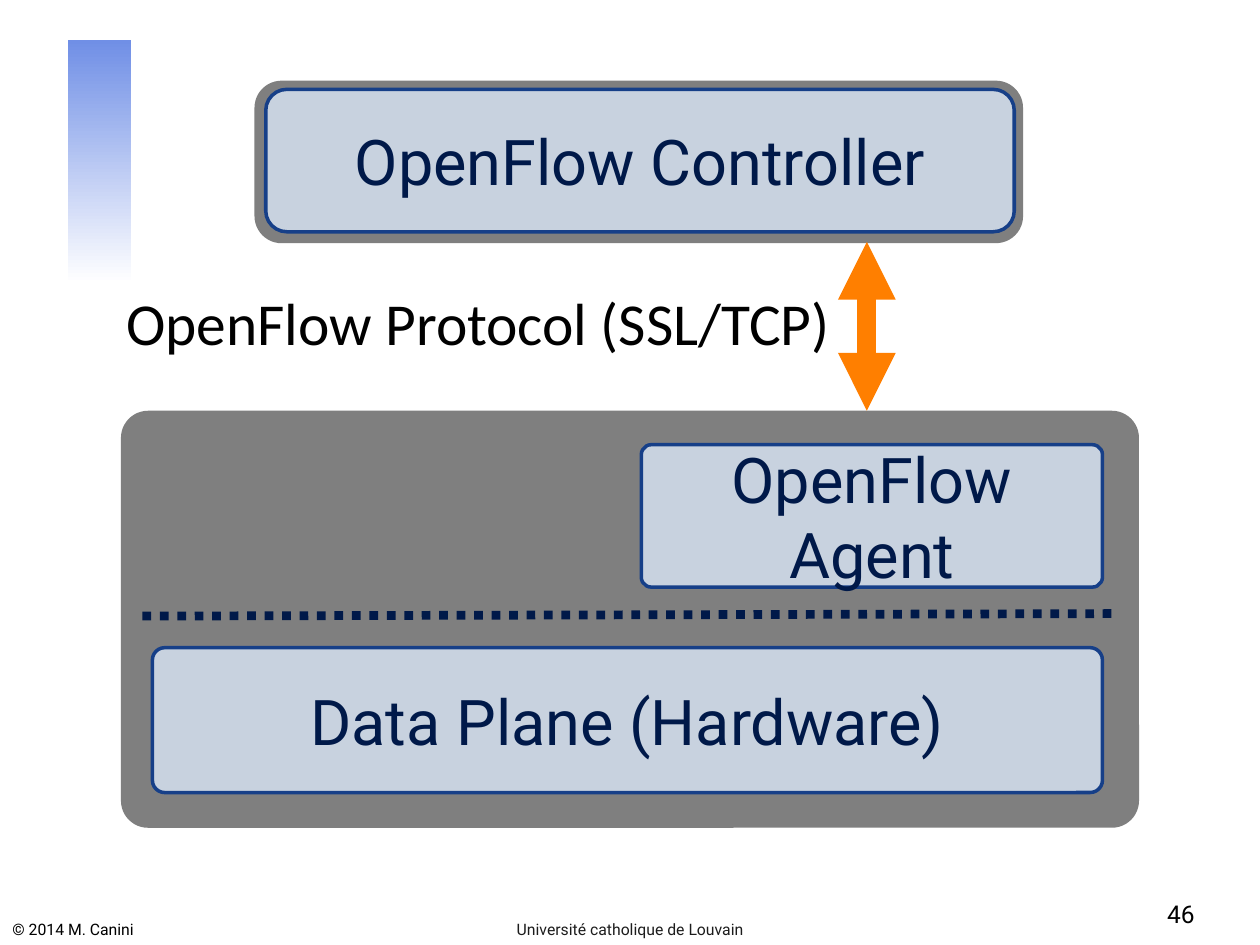
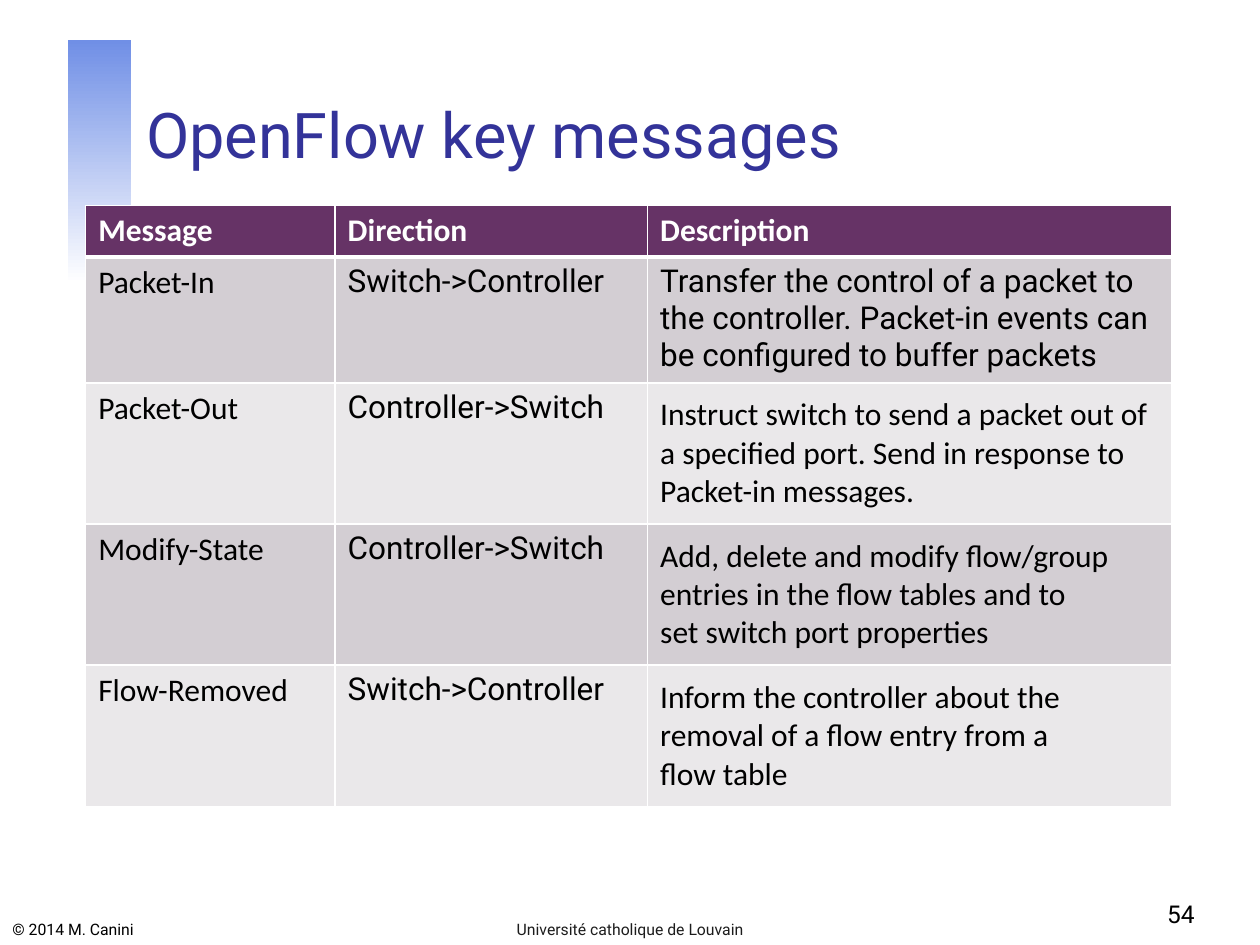
from dataclasses import dataclass
from typing import NamedTuple

from lxml import etree
from pptx import Presentation
from pptx import util as u
from pptx.dml.color import RGBColor
from pptx.enum import dml, shapes, text
from pptx.oxml.ns import qn

PX = u.Inches(1) // 100  # one px is a hundredth of an inch

COLOURS = {
    "white": "FFFFFF", "black": "000000", "band": "708FE6", "title": "333399",
    "footer": "1C1C1C", "frame": "7F7F7F", "panel": "C8D2DF",
    "outline": "163F88", "navy": "001949", "orange": "FF7F00",
    "header": "663366", "odd row": "D3CED3", "even row": "EAE8EA",
}
SANS, BODY = "Roboto", "Calibri"


class Frame(NamedTuple):
    left: int
    top: int
    width: int
    height: int

    def emu(self) -> list[int]:
        return [value * PX for value in self]


@dataclass
class Panel:
    """A rounded rectangle; one with a label is light and outlined."""
    frame: Frame
    rounding: float
    label: str = ""


@dataclass
class Link:
    start: tuple[int, int]
    end: tuple[int, int]
    colour: str
    weight: int
    dotted: bool = False
    arrows: bool = False


class Message(NamedTuple):
    name: str
    direction: str
    description: str


PANELS = [
    Panel(Frame(96, 326, 808, 331), 0.065),
    Panel(Frame(121, 514, 754, 115), 0.085, "Data Plane (Hardware)"),
    Panel(Frame(509, 353, 366, 113), 0.07, "OpenFlow Agent"),
    Panel(Frame(202, 64, 610, 129), 0.167),
    Panel(Frame(211, 71, 594, 113), 0.147, "OpenFlow Controller"),
]
LINKS = [
    Link((113, 489), (887, 487), "navy", 5, dotted=True),
    Link((688, 192), (688, 326), "orange", 11, arrows=True),
]
TO_CONTROLLER, TO_SWITCH = "Switch->Controller", "Controller->Switch"
MESSAGES = [
    Message("Packet-In", TO_CONTROLLER,
            "Transfer the control of a packet to the controller. "
            "Packet-in events can be configured to buffer packets"),
    Message("Packet-Out", TO_SWITCH,
            "Instruct switch to send a packet out of a specified port. "
            "Send in response to Packet-in messages."),
    Message("Modify-State", TO_SWITCH,
            "Add, delete and modify flow/group entries in the flow tables and to\n"
            "set switch port properties"),
    Message("Flow-Removed", TO_CONTROLLER,
            "Inform the controller about the removal of a flow entry from a\n"
            "flow table"),
]
COLUMN_WIDTHS = [198, 248, 416]
ROW_HEIGHTS = [41, 97, 112, 112, 112]


def rgb(name: str) -> RGBColor:
    return RGBColor.from_string(COLOURS[name])


def write(frame, content: str, *, size: int, font: str = SANS, colour: str = "black",
          bold: bool = False, align: str = "LEFT", anchor: str = "TOP",
          margins: tuple[int, int] = (10, 5), wrap: bool = True) -> None:
    """Fill a text frame, one paragraph per line; margins are (sides, top and bottom)."""
    frame.word_wrap = wrap
    frame.vertical_anchor = text.MSO_ANCHOR[anchor]
    frame.margin_left = frame.margin_right = margins[0] * PX
    frame.margin_top = frame.margin_bottom = margins[1] * PX
    frame.text = content
    for para in frame.paragraphs:
        para.alignment = text.PP_ALIGN[align]
        for span in para.runs:
            span.font.name, span.font.size, span.font.bold = font, u.Pt(size), bold
            span.font.color.rgb = rgb(colour)


def add_text(page, frame: Frame, content: str, **style) -> None:
    write(page.shapes.add_textbox(*frame.emu()).text_frame, content, **style)


def add_furniture(page) -> None:
    """Draw the fading band and the copyright line."""
    band = page.shapes.add_shape(shapes.MSO_SHAPE.RECTANGLE, *Frame(54, 32, 50, 193).emu())
    band.shadow.inherit = False
    band.line.fill.background()
    band.fill.gradient()
    band.fill.gradient_angle = 270
    for stop, colour in zip(band.fill.gradient_stops, ("band", "white")):
        stop.color.rgb = rgb(colour)
    add_text(page, Frame(0, 722, 302, 28), "© 2014 M. Canini", size=9, anchor="BOTTOM")


def add_footer(page, number: int) -> None:
    add_text(page, Frame(342, 722, 316, 28), "Université catholique de Louvain",
             size=9, colour="footer", align="CENTER", anchor="BOTTOM")
    add_text(page, Frame(750, 692, 208, 50), str(number), size=14, align="RIGHT",
             anchor="BOTTOM")


def add_panel(page, panel: Panel) -> None:
    box = page.shapes.add_shape(shapes.MSO_SHAPE.ROUNDED_RECTANGLE, *panel.frame.emu())
    box.adjustments[0] = panel.rounding
    box.shadow.inherit = False
    box.fill.solid()
    box.fill.fore_color.rgb = rgb("panel" if panel.label else "frame")
    if not panel.label:
        box.line.fill.background()
        return
    box.line.color.rgb = rgb("outline")
    box.line.width = u.Pt(2)
    write(box.text_frame, panel.label, size=36, colour="navy", align="CENTER",
          anchor="MIDDLE", margins=(0, 0))


def add_link(page, link: Link) -> None:
    points = [value * PX for value in link.start + link.end]
    connector = page.shapes.add_connector(shapes.MSO_CONNECTOR.STRAIGHT, *points)
    connector.line.color.rgb = rgb(link.colour)
    connector.line.width = u.Pt(link.weight)
    if link.dotted:
        connector.line.dash_style = dml.MSO_LINE.ROUND_DOT  # stored as sysDot
    if link.arrows:
        outline = connector.line._get_or_add_ln()
        for end in ("a:headEnd", "a:tailEnd"):
            etree.SubElement(outline, qn(end), type="triangle")
    etree.SubElement(connector._element.spPr, qn("a:effectLst"))


def add_borders(cell, top: int, bottom: int) -> None:
    """Give the cell white borders; this has to precede its fill."""
    properties = cell._tc.get_or_add_tcPr()
    for side, weight in (("L", 1), ("R", 1), ("T", top), ("B", bottom)):
        border = etree.SubElement(properties, qn(f"a:ln{side}"), w=str(u.Pt(weight)))
        fill = etree.SubElement(border, qn("a:solidFill"))
        etree.SubElement(fill, qn("a:srgbClr"), val=COLOURS["white"])


def add_message_table(page) -> None:
    rows = [Message("Message", "Direction", "Description"), *MESSAGES]
    frame = Frame(68, 163, sum(COLUMN_WIDTHS), sum(ROW_HEIGHTS))
    table = page.shapes.add_table(len(rows), len(COLUMN_WIDTHS), *frame.emu()).table
    for column, width in zip(table.columns, COLUMN_WIDTHS):
        column.width = width * PX
    for index, (message, height) in enumerate(zip(rows, ROW_HEIGHTS)):
        table.rows[index].height = height * PX
        header = index == 0
        shade = "header" if header else "odd row" if index % 2 else "even row"
        for position, content in enumerate(message):
            cell = table.cell(index, position)
            add_borders(cell, top=3 if index == 1 else 1, bottom=3 if header else 1)
            cell.fill.solid()
            cell.fill.fore_color.rgb = rgb(shade)
            roomy = index > 1 and position == 2
            sans = not header and (position == 1 or (index, position) == (1, 2))
            write_cell(cell, content, header, roomy, SANS if sans else BODY)


def write_cell(cell, content: str, header: bool, roomy: bool, font: str) -> None:
    """Write a cell; a roomy one is centred vertically in wider margins."""
    write(cell.text_frame, content, size=18, font=font, bold=header,
          colour="white" if header else "black")
    cell.vertical_anchor = text.MSO_ANCHOR.MIDDLE if roomy else text.MSO_ANCHOR.TOP
    cell.margin_left = cell.margin_right = 10 * PX
    cell.margin_top = cell.margin_bottom = (10 if roomy else 5) * PX


def add_title(page, content: str) -> None:
    title = page.shapes.title
    title.left, title.top, title.width, title.height = Frame(106, 33, 852, 108).emu()
    write(title.text_frame, content, size=36, colour="title", anchor="BOTTOM")
    title.text_frame.auto_size = text.MSO_AUTO_SIZE.NONE


def build_architecture(deck) -> None:
    page = deck.slides.add_slide(deck.slide_layouts.get_by_name("Blank"))
    add_furniture(page)
    for panel in PANELS:
        add_panel(page, panel)
    for link in LINKS:
        add_link(page, link)
    add_text(page, Frame(99, 227, 561, 57), "OpenFlow Protocol (SSL/TCP)", size=34,
             font=BODY, align="CENTER", anchor="MIDDLE", margins=(0, 0), wrap=False)
    add_footer(page, 46)


def build_messages(deck) -> None:
    page = deck.slides.add_slide(deck.slide_layouts.get_by_name("Title Only"))
    add_furniture(page)
    add_title(page, "OpenFlow key messages")
    add_message_table(page)
    add_footer(page, 54)


def main() -> None:
    deck = Presentation()
    deck.slide_width, deck.slide_height = 1000 * PX, 750 * PX
    build_architecture(deck)
    build_messages(deck)
    deck.save("out.pptx")


if __name__ == "__main__":
    main()
